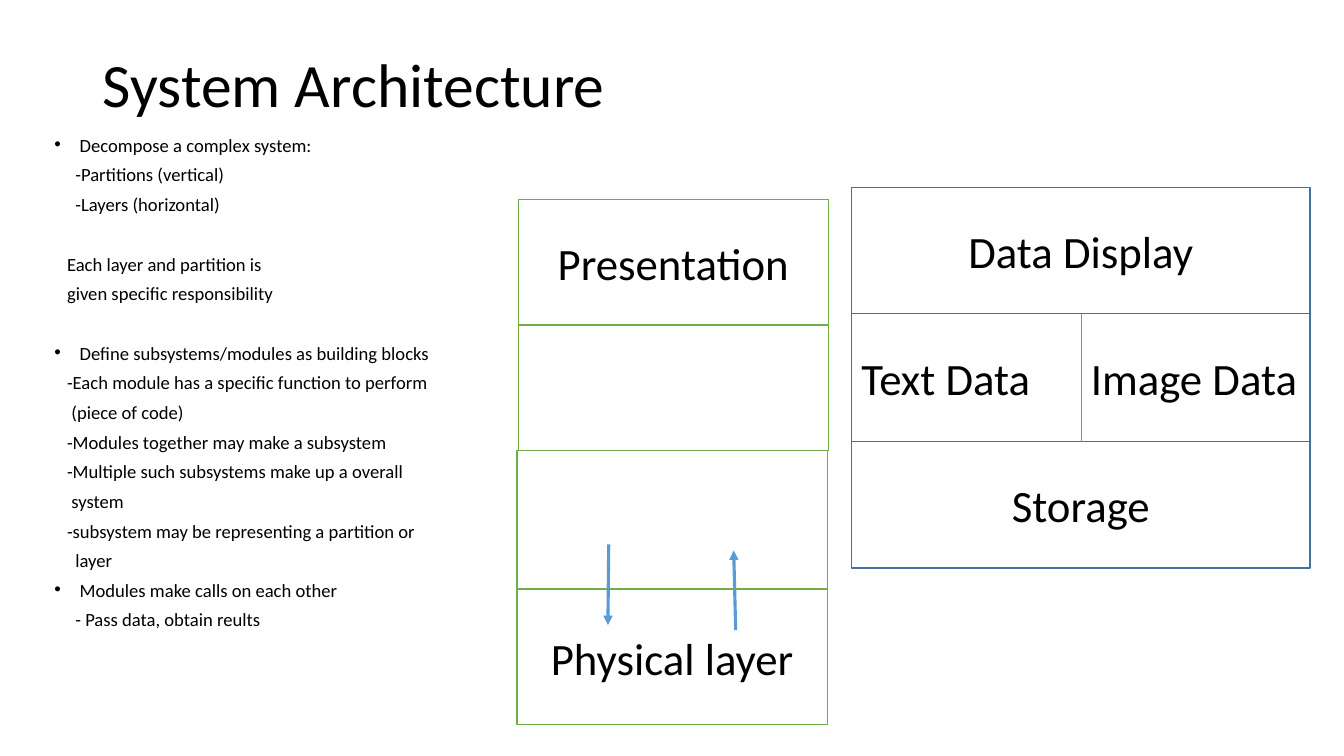
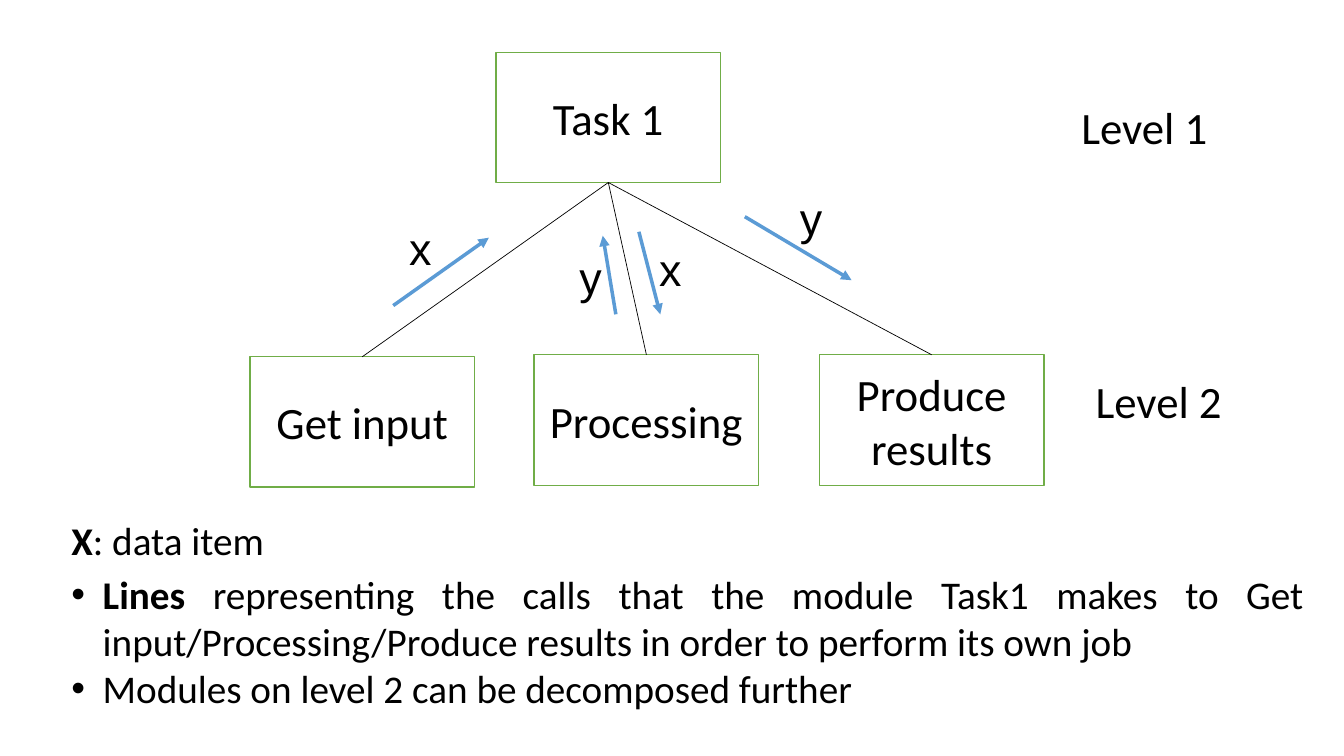
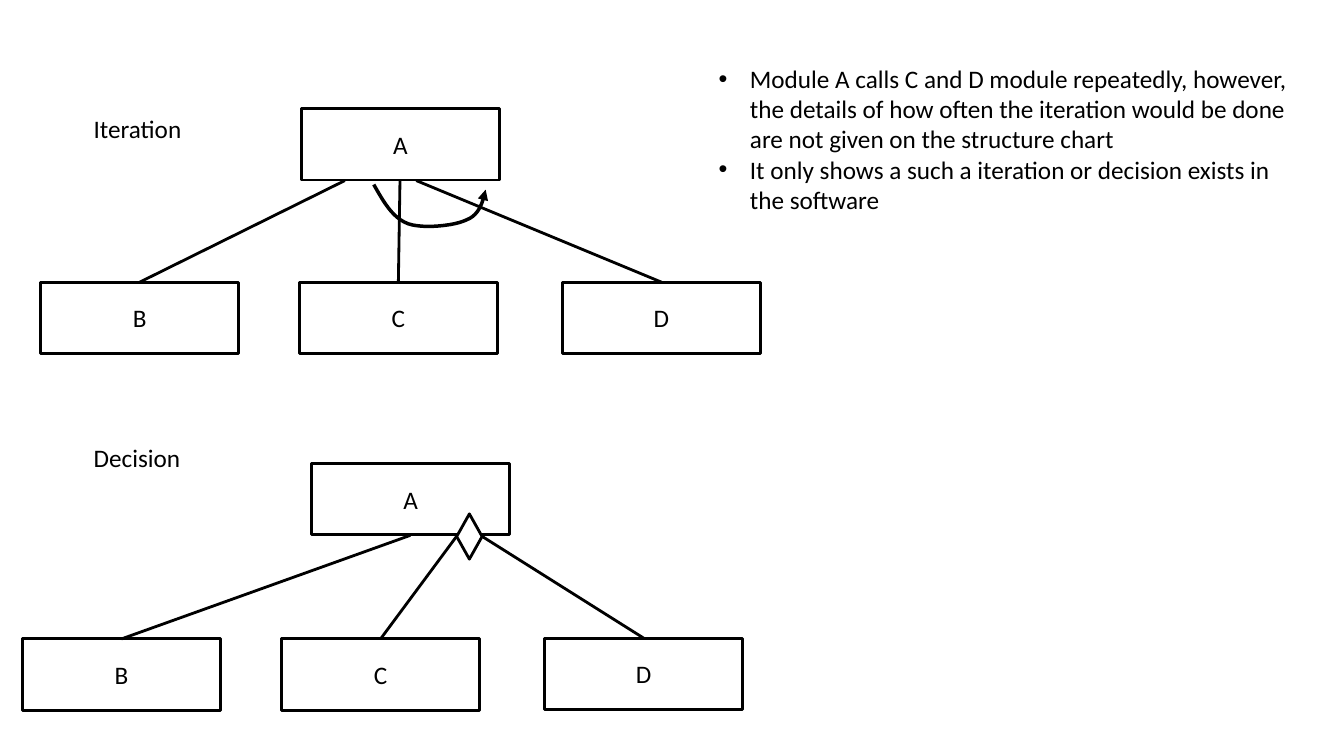
from dataclasses import dataclass
from lxml import etree
from pptx import Presentation
from pptx.dml.color import RGBColor
from pptx.enum.shapes import MSO_CONNECTOR, MSO_SHAPE
from pptx.enum.text import MSO_ANCHOR, PP_ALIGN
from pptx.oxml.ns import qn
from pptx.util import Cm, Pt

RECT, DIAMOND = MSO_SHAPE.RECTANGLE, MSO_SHAPE.DIAMOND
STRAIGHT = MSO_CONNECTOR.STRAIGHT
LEFT, CENTER, JUSTIFY = PP_ALIGN.LEFT, PP_ALIGN.CENTER, PP_ALIGN.JUSTIFY
MIDDLE, TOP = MSO_ANCHOR.MIDDLE, MSO_ANCHOR.TOP
TITLE_ONLY, BLANK = 5, 6

FONT, SYMBOL_FONT = "Calibri", "Arial"
BLACK, WHITE = "000000", "FFFFFF"
GREEN, BLUE, NAVY = "70AD47", "5B9BD5", "43739E"
Point = tuple[float, float]


@dataclass(frozen=True)
class Box:
    x: float
    y: float
    w: float
    h: float
    text: str = ""

    @property
    def top(self) -> Point:
        return self.x + self.w / 2, self.y

    @property
    def bottom(self) -> Point:
        return self.x + self.w / 2, self.y + self.h

    def frame(self) -> tuple:
        return Cm(self.x), Cm(self.y), Cm(self.w), Cm(self.h)


@dataclass(frozen=True)
class Run:
    text: str
    bold: bool = False


@dataclass(frozen=True)
class Para:
    runs: tuple[Run, ...]
    bullet: bool = False
    indent: float = 0
    before: float = 0
    spacing: float = 1.0
    align: PP_ALIGN = LEFT


@dataclass(frozen=True)
class Tree:
    boxes: tuple[Box, ...]
    starts: tuple[Point, ...]


def rgb(value: str) -> RGBColor:
    return RGBColor.from_string(value)


def para(text: str, **options) -> Para:
    return Para((Run(text),), **options)


def write(tf, paras: list[Para], size: float, font: str = FONT, anchor=TOP) -> None:
    tf.word_wrap = True
    tf.vertical_anchor = anchor
    for i, item in enumerate(paras):
        p = tf.add_paragraph() if i else tf.paragraphs[0]
        p.alignment, p.line_spacing = item.align, item.spacing
        p.space_before = Pt(item.before)
        pPr = p._p.get_or_add_pPr()
        pPr.set("marL", str(Cm(item.indent)))
        pPr.set("indent", str(-Cm(item.indent) if item.bullet else 0))
        if item.bullet:
            etree.SubElement(pPr, qn("a:buFont")).set("typeface", "Arial")
            etree.SubElement(pPr, qn("a:buChar")).set("char", "•")
        for run in item.runs:
            r = p.add_run()
            r.text = run.text
            r.font.name, r.font.size, r.font.bold = font, Pt(size), run.bold
            r.font.color.rgb = rgb(BLACK)


def add_text(s, box: Box, paras: list[Para], size: float, font: str = FONT, anchor=TOP) -> None:
    write(s.shapes.add_textbox(*box.frame()).text_frame, paras, size, font, anchor)


def add_label(s, box: Box, size: float, font: str = FONT, anchor=TOP) -> None:
    add_text(s, box, [para(box.text)], size, font, anchor)


def add_box(s, box: Box, color: str, width: float = 1, size: float = 32,
            align=CENTER, kind=RECT) -> None:
    sp = s.shapes.add_shape(kind, *box.frame())
    sp.shadow.inherit = False
    sp.fill.solid()
    sp.fill.fore_color.rgb = rgb(WHITE)
    sp.line.color.rgb, sp.line.width = rgb(color), Pt(width)
    if box.text:
        write(sp.text_frame, [para(box.text, align=align)], size, anchor=MIDDLE)


def add_arrowhead(sp) -> None:
    etree.SubElement(sp.line._get_or_add_ln(), qn("a:tailEnd")).set("type", "triangle")


def add_line(s, start: Point, end: Point, color: str, width: float, arrow: bool = False) -> None:
    cx = s.shapes.add_connector(STRAIGHT, *map(Cm, start + end))
    cx.line.color.rgb, cx.line.width = rgb(color), Pt(width)
    if arrow:
        add_arrowhead(cx)
    etree.SubElement(cx._element.spPr, qn("a:effectLst"))


def bezier(points: list[Point], steps: int = 12) -> list[Point]:
    curve = points[:1]
    for i in range(0, len(points) - 1, 3):
        segment = points[i:i + 4]
        for k in range(1, steps + 1):
            t = k / steps
            weights = ((1 - t) ** 3, 3 * t * (1 - t) ** 2, 3 * t * t * (1 - t), t ** 3)
            curve.append(tuple(sum(w * pt[axis] for w, pt in zip(weights, segment))
                               for axis in (0, 1)))
    return curve


def add_curved_arrow(s, points: list[Point], color: str, width: float) -> None:
    outline = [(Cm(x), Cm(y)) for x, y in bezier(points)]
    builder = s.shapes.build_freeform(*outline[0])
    builder.add_line_segments(outline[1:], close=False)
    sp = builder.convert_to_shape()
    sp.shadow.inherit = False
    sp.fill.background()
    sp.line.color.rgb, sp.line.width = rgb(color), Pt(width)
    add_arrowhead(sp)


def add_tree(s, tree: Tree) -> None:
    for box in tree.boxes:
        add_box(s, box, BLACK, 2, 18)
    for start, child in zip(tree.starts, tree.boxes[1:]):
        add_line(s, start, child.top, BLACK, 2)


def architecture_slide(prs) -> None:
    s = prs.slides.add_slide(prs.slide_layouts[TITLE_ONLY])
    title = s.shapes.title
    title.left, title.top, title.width, title.height = Box(2.34, 1.02, 29.21, 2.39).frame()
    write(title.text_frame, [para("System Architecture", spacing=0.9)], 44, anchor=MIDDLE)

    bullet, shallow, middle, deep = 0.64, 0.32, 0.43, 0.53
    gap, section_gap = 10, 31.3
    outline = [
        ("Decompose a complex system:", bullet, gap),
        ("-Partitions (vertical)", deep, gap),
        ("-Layers (horizontal)", deep, gap),
        ("Each layer and partition is", shallow, section_gap),
        ("given specific responsibility", shallow, gap),
        ("Define subsystems/modules as building blocks", bullet, section_gap),
        ("-Each module has a specific function to perform", shallow, gap),
        ("(piece of code)", middle, gap),
        ("-Modules together may make a subsystem", shallow, gap),
        ("-Multiple such subsystems make up a overall", shallow, gap),
        ("system", middle, gap),
        ("-subsystem may be representing a partition or", shallow, gap),
        ("layer", deep, gap),
        ("Modules make calls on each other", bullet, gap),
        ("- Pass data, obtain reults", deep, gap),
    ]
    add_text(s, Box(1.12, 3.4, 11.23, 14.53),
             [para(text, bullet=indent == bullet, indent=indent, before=before, spacing=0.7)
              for text, indent, before in outline], 13.3)

    for layer in (Box(13.06, 5.03, 7.82, 3.15, "Presentation"),
                  Box(13.06, 8.2, 7.82, 3.15),
                  Box(13.03, 11.35, 7.82, 3.48),
                  Box(13.03, 14.86, 7.82, 3.4, "Physical layer")):
        add_box(s, layer, GREEN)
    add_line(s, (15.34, 13.72), (15.32, 15.75), BLUE, 2.25, arrow=True)
    add_line(s, (18.54, 15.88), (18.49, 13.87), BLUE, 2.25, arrow=True)

    data = Box(21.46, 7.9, 11.56, 3.23, "Text Data")
    add_box(s, Box(data.x, 4.72, data.w, 3.18, "Data Display"), NAVY)
    add_box(s, data, NAVY, align=LEFT)
    add_box(s, Box(data.x, 11.13, data.w, 3.18, "Storage"), NAVY)
    add_line(s, data.top, data.bottom, BLUE, 0.5)
    add_label(s, Box(data.top[0], data.y, 6, data.h, "Image Data"), 32, anchor=MIDDLE)


def levels_slide(prs) -> None:
    s = prs.slides.add_slide(prs.slide_layouts[BLANK])
    task = Box(12.5, 1.32, 5.66, 3.28, "Task 1")
    steps = (Box(6.3, 8.99, 5.66, 3.28, "Get input"),
             Box(13.46, 8.94, 5.66, 3.3, "Processing"),
             Box(20.65, 8.94, 5.66, 3.3, "Produce results"))
    for box in (task, *steps):
        add_box(s, box, GREEN)
    for step in steps:
        add_line(s, task.bottom, step.top, BLACK, 0.5)

    for level in (Box(27, 2.39, 4.8, 1.63, "Level 1"), Box(27.36, 9.3, 4.45, 1.63, "Level 2")):
        add_label(s, level, 32)
    for start, end in (((9.91, 7.7), (12.32, 5.99)), ((15.52, 7.92), (15.19, 5.94)),
                       ((16.1, 5.84), (16.64, 7.92)), ((18.77, 5.46), (21.46, 7.06))):
        add_line(s, start, end, BLUE, 2.5, arrow=True)
    for item, x, y in (("x", 10.06, 5.44), ("x", 16.36, 5.97),
                       ("y", 14.35, 6.17), ("y", 19.91, 4.67)):
        add_label(s, Box(x, y, 1.98, 1.63, item), 32, SYMBOL_FONT)

    add_text(s, Box(1.55, 12.88, 11.84, 1.45),
             [Para((Run("X", True), Run(": data item")))], 28)
    calls = (" representing the calls that the module Task1 makes to Get "
             "input/Processing/Produce results in order to perform its own job")
    add_text(s, Box(1.55, 14.25, 31.55, 4.8), [
        Para((Run("Lines", True), Run(calls)), bullet=True, indent=0.79, align=JUSTIFY),
        para("Modules on level 2 can be decomposed further", bullet=True, indent=0.79),
    ], 28)


def control_slide(prs) -> None:
    s = prs.slides.add_slide(prs.slide_layouts[BLANK])
    w, h = 5, 1.8
    iteration = Tree(
        (Box(7.59, 2.74, w, h, "A"), Box(1.02, 7.11, w, h, "B"),
         Box(7.54, 7.11, w, h, "C"), Box(14.17, 7.11, w, h, "D")),
        ((8.69, 4.55), (10.08, 4.55), (10.49, 4.55)))
    add_tree(s, iteration)
    add_curved_arrow(s, [(9.42, 4.65), (9.65, 5.05), (9.88, 5.49), (10.29, 5.64),
                         (10.67, 5.77), (11.46, 5.69), (11.76, 5.54),
                         (12.09, 5.41), (12.17, 5.08), (12.24, 4.78)], BLACK, 2.5)

    decision = Tree(
        (Box(7.85, 11.68, w, h, "A"), Box(0.56, 16.1, w, h, "B"),
         Box(7.09, 16.1, w, h, "C"), Box(13.72, 16.08, w, h, "D")),
        ((10.34, 13.49), (11.51, 13.51), (12.14, 13.51)))
    add_tree(s, decision)
    add_box(s, Box(11.51, 12.95, 0.64, 1.14), BLACK, 2, kind=DIAMOND)

    for label in (Box(2.11, 2.74, 5.54, 1.02, "Iteration"),
                  Box(2.11, 11.02, 4.19, 1.02, "Decision")):
        add_label(s, label, 18)
    notes = ("Module A calls C and D module repeatedly, however, the details of how often "
             "the iteration would be done are not given on the structure chart",
             "It only shows a such a iteration or decision exists in the software")
    add_text(s, Box(17.86, 1.47, 15.01, 4.11),
             [para(note, bullet=True, indent=0.79) for note in notes], 18)


prs = Presentation()
prs.slide_width, prs.slide_height = Cm(33.87), Cm(19.05)
architecture_slide(prs)
levels_slide(prs)
control_slide(prs)
prs.save("out.pptx")
